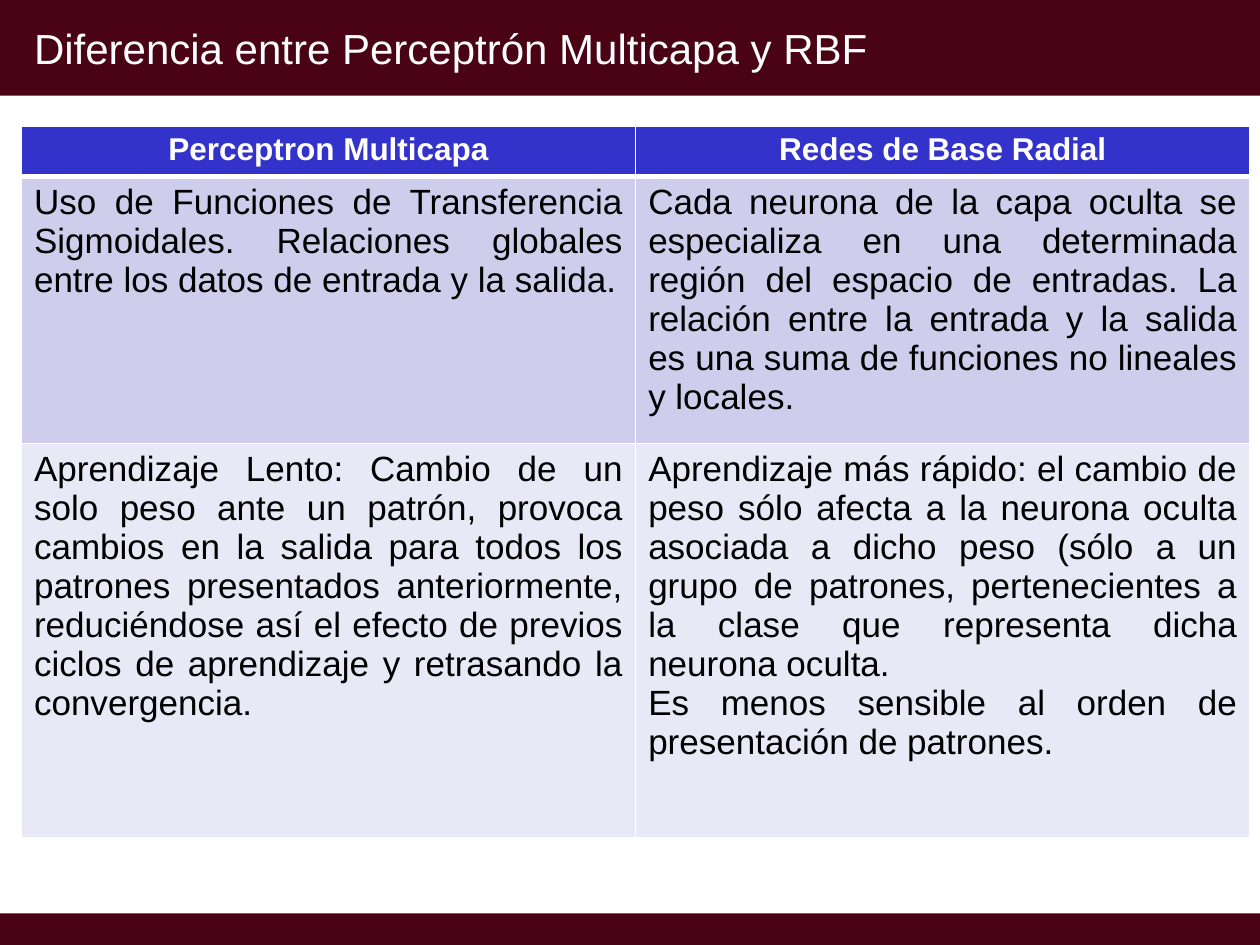
from lxml import etree
from pptx import Presentation
from pptx.dml.color import RGBColor
from pptx.enum.shapes import MSO_SHAPE
from pptx.enum.text import MSO_ANCHOR, MSO_AUTO_SIZE, PP_ALIGN
from pptx.oxml.ns import qn
from pptx.util import Inches, Pt

RECT = MSO_SHAPE.RECTANGLE
MIDDLE = MSO_ANCHOR.MIDDLE
NO_AUTOFIT = MSO_AUTO_SIZE.NONE
LEFT, CENTER, JUSTIFY = PP_ALIGN.LEFT, PP_ALIGN.CENTER, PP_ALIGN.JUSTIFY

MAROON = RGBColor(0x4A, 0x03, 0x15)
WHITE = RGBColor(0xFF, 0xFF, 0xFF)
BLACK = RGBColor(0x00, 0x00, 0x00)
BLUE = RGBColor(0x33, 0x33, 0xCC)
LAVENDER = RGBColor(0xCE, 0xCE, 0xEC)
PALE = RGBColor(0xE8, 0xE8, 0xF6)


def write(p, text, align, size, color, bold=False):
    """Fill a paragraph with one formatted Arial run."""
    p.alignment = align
    r = p.add_run()
    r.text = text
    for name, value in {"name": "Arial", "size": Pt(size), "bold": bold}.items():
        setattr(r.font, name, value)
    r.font.color.rgb = color


def set_borders(cell, widths):
    """Draw white cell borders; widths maps a side (L, R, T, B) to points."""
    tcPr = cell._tc.get_or_add_tcPr()
    for i, (side, width) in enumerate(widths.items()):
        ln = etree.Element(qn(f"a:ln{side}"), w=str(Pt(width)))
        fill = etree.SubElement(ln, qn("a:solidFill"))
        etree.SubElement(fill, qn("a:srgbClr"), val=str(WHITE))
        tcPr.insert(i, ln)


prs = Presentation()
prs.slide_width, prs.slide_height = Inches(10), Inches(7.5)
s = prs.slides.add_slide(prs.slide_layouts[5])

# Header and footer bars
for top, height in [(7.25, 0.27), (0, 0.76)]:
    bar = s.shapes.add_shape(RECT, 0, Inches(top), prs.slide_width, Inches(height))
    bar.shadow.inherit = False
    bar.fill.solid()
    bar.fill.fore_color.rgb = MAROON
    bar.line.fill.background()

# Title, brought in front of the header bar
title = s.shapes.title
s.shapes._spTree.append(title._element)
box = {"left": 0.27, "top": 0.13, "width": 7.37, "height": 0.63}
for name, value in box.items():
    setattr(title, name, Inches(value))
tf = title.text_frame
tf_format = {"margin_left": 0, "margin_top": 0, "margin_right": 0, "margin_bottom": 0,
             "vertical_anchor": MIDDLE, "word_wrap": True, "auto_size": NO_AUTOFIT}
for name, value in tf_format.items():
    setattr(tf, name, value)
p = tf.paragraphs[0]
p.line_spacing = 0.59
write(p, "Diferencia entre Perceptrón Multicapa y RBF", LEFT, 24, WHITE)

# Comparison table: one list of paragraphs per cell
rows = [
    (0.4, BLUE, [["Perceptron Multicapa"], ["Redes de Base Radial"]]),
    (2.12, LAVENDER, [
        ["Uso de Funciones de Transferencia Sigmoidales. Relaciones globales "
         "entre los datos de entrada y la salida."],
        ["Cada neurona de la capa oculta se especializa en una determinada región "
         "del espacio de entradas. La relación entre la entrada y la salida es una "
         "suma de funciones no lineales y locales."],
    ]),
    (3.13, PALE, [
        ["Aprendizaje Lento: Cambio de un solo peso ante un patrón, provoca cambios "
         "en la salida para todos los patrones presentados anteriormente, "
         "reduciéndose así el efecto de previos ciclos de aprendizaje y retrasando "
         "la convergencia."],
        ["Aprendizaje más rápido: el cambio de peso sólo afecta a la neurona oculta "
         "asociada a dicho peso (sólo a un grupo de patrones, pertenecientes a la "
         "clase que representa dicha neurona oculta.",
         "Es menos sensible al orden de presentación de patrones."],
    ]),
]
table = s.shapes.add_table(len(rows), 2, Inches(0.17), Inches(1),
                           Inches(9.75), Inches(5.65)).table
for i, (height, color, texts) in enumerate(rows):
    table.rows[i].height = Inches(height)
    text_format = (CENTER, 18, WHITE, True) if i == 0 else (JUSTIFY, 20, BLACK)
    for j, paragraphs in enumerate(texts):
        cell = table.cell(i, j)
        cell.fill.solid()
        cell.fill.fore_color.rgb = color
        set_borders(cell, {"L": 1, "R": 1, "T": 3 if i == 1 else 1, "B": 3 if i == 0 else 1})
        tf = cell.text_frame
        for k, text in enumerate(paragraphs):
            p = tf.add_paragraph() if k else tf.paragraphs[0]
            write(p, text, *text_format)

prs.save("out.pptx")
